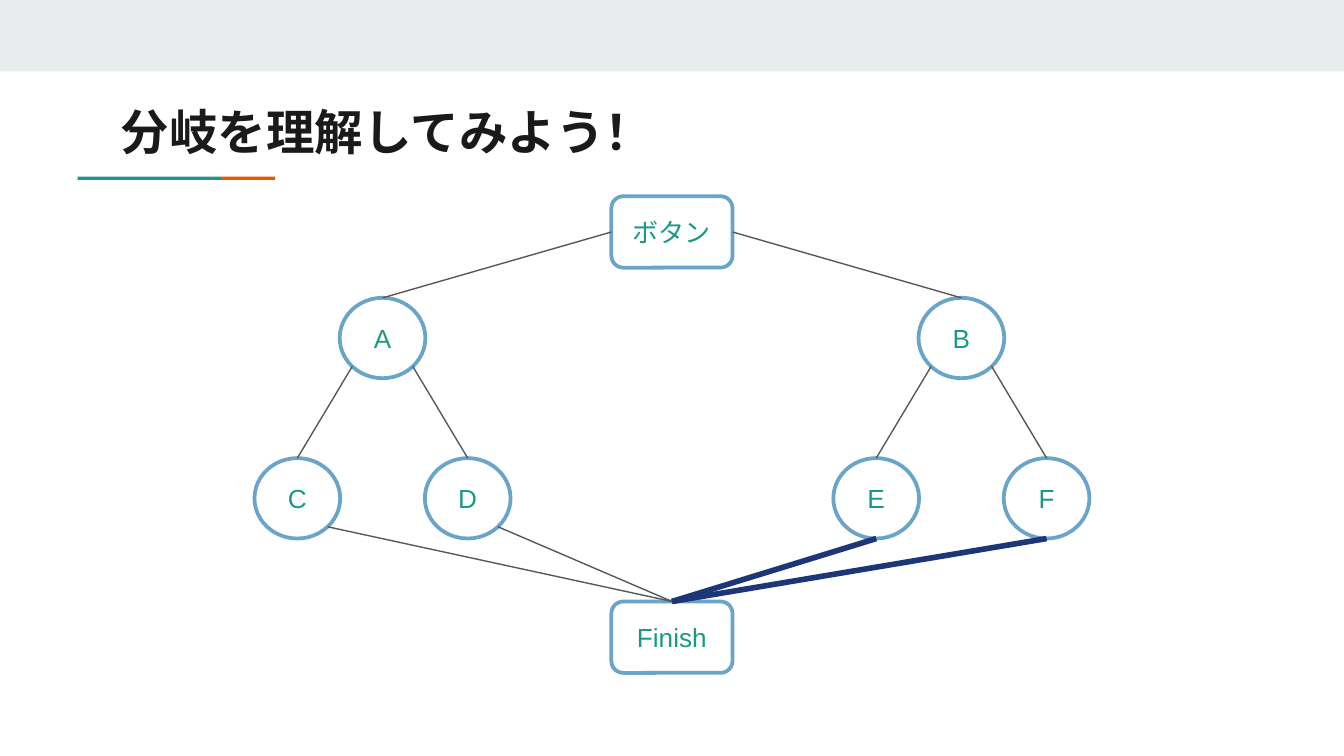
"""Builds a slide with a branching diagram that leads from a button to a finish."""
import dataclasses
import enum
import math

import lxml.etree
import pptx
import pptx.dml.color
import pptx.enum.shapes
import pptx.enum.text
import pptx.oxml.ns
import pptx.shapes.autoshape
import pptx.slide
import pptx.util

Cm = pptx.util.Cm
Pt = pptx.util.Pt
ShapeKind = pptx.enum.shapes.MSO_SHAPE
DIAGONAL = math.sqrt(0.5)


@dataclasses.dataclass(frozen=True)
class Theme:
    """Colours, fonts and sizes of the slide."""
    band: str = "E9EDEE"
    accent: str = "1A9988"
    second_accent: str = "EB5600"
    title: str = "1A1A1A"
    node_fill: str = "FFFFFF"
    node_line: str = "6AA4C8"
    edge: str = "575757"
    strong_edge: str = "1C3678"
    title_font: str = "Manrope"
    label_font: str = "Arial"
    title_size: float = 26
    label_size: float = 14
    node_line_width: float = 2
    edge_width: float = 0.75
    strong_edge_width: float = 3


THEME = Theme()


class Site(enum.Enum):
    """Points on an outline, as shares of the half width and half height."""
    TOP = (0, -1)
    LEFT = (-1, 0)
    RIGHT = (1, 0)
    BOTTOM = (0, 1)
    LOWER_LEFT = (-DIAGONAL, DIAGONAL)
    LOWER_RIGHT = (DIAGONAL, DIAGONAL)


GLUE_INDEX = {Site.TOP: 0, Site.LEFT: 1, Site.RIGHT: 3}


@dataclasses.dataclass(frozen=True)
class Bar:
    """A plain filled rectangle, in centimetres."""
    left: float
    top: float
    width: float
    height: float
    color: str


@dataclasses.dataclass(frozen=True)
class Node:
    """A labelled step of the diagram, in centimetres."""
    label: str
    center: float
    top: float
    kind: ShapeKind = ShapeKind.OVAL
    width: float = 1.62
    height: float = 1.52

    def point(self, site: Site) -> tuple[pptx.util.Length, pptx.util.Length]:
        """Return the place of a site on the slide."""
        across, down = site.value
        return (Cm(self.center + across * self.width / 2),
                Cm(self.top + (1 + down) * self.height / 2))


@dataclasses.dataclass(frozen=True)
class Edge:
    """A line between two nodes."""
    start: str
    start_site: Site
    end: str
    end_site: Site = Site.TOP
    strong: bool = False


PAGE_WIDTH, PAGE_HEIGHT = 25.4, 14.29
MIDDLE = PAGE_WIDTH / 2
BRANCH_OFFSET, LEAF_OFFSET = 5.47, 1.61
BRANCH_TOP, LEAF_TOP = 5.63, 8.66
BOX = {"kind": ShapeKind.ROUNDED_RECTANGLE, "width": 2.29, "height": 1.35}

BARS = (
    Bar(0, 0, PAGE_WIDTH, 1.35, THEME.band),
    Bar(4.18, 3.34, 1.02, 0.06, THEME.second_accent),
    Bar(1.47, 3.34, 2.71, 0.06, THEME.accent),
)
BRANCHES = (("A", -1, "C", "D"), ("B", 1, "E", "F"))
START, FINISH = "ボタン", "Finish"


def plan_nodes() -> list[Node]:
    """Lay out both boxes, the branches and their leaves."""
    nodes = [Node(START, MIDDLE, 3.71, **BOX), Node(FINISH, MIDDLE, 11.37, **BOX)]
    for branch, side, left_leaf, right_leaf in BRANCHES:
        center = MIDDLE + side * BRANCH_OFFSET
        nodes += [Node(branch, center, BRANCH_TOP),
                  Node(left_leaf, center - LEAF_OFFSET, LEAF_TOP),
                  Node(right_leaf, center + LEAF_OFFSET, LEAF_TOP)]
    return nodes


def plan_edges() -> list[Edge]:
    """List the lines from the button through each branch to the finish."""
    edges = []
    for branch, side, left_leaf, right_leaf in BRANCHES:
        strong = side > 0
        exit_site = Site.BOTTOM if strong else Site.LOWER_RIGHT
        edges += [Edge(START, Site.RIGHT if strong else Site.LEFT, branch),
                  Edge(branch, Site.LOWER_LEFT, left_leaf),
                  Edge(branch, Site.LOWER_RIGHT, right_leaf)]
        edges += [Edge(leaf, exit_site, FINISH, strong=strong)
                  for leaf in (left_leaf, right_leaf)]
    return edges


def rgb(color: str) -> pptx.dml.color.RGBColor:
    """Turn a hex string into a colour."""
    return pptx.dml.color.RGBColor.from_string(color)


def apply_format(target: object, values: dict[str, object]) -> None:
    """Set each named attribute on the target."""
    for name, value in values.items():
        setattr(target, name, value)


def format_font(font: object, name: str, size: float, color: str, bold: bool) -> None:
    """Give a font its face, size, weight and colour."""
    apply_format(font, {"name": name, "size": Pt(size), "bold": bold})
    font.color.rgb = rgb(color)


def write_title(slide: pptx.slide.Slide, text: str) -> None:
    """Place and format the title."""
    title = slide.shapes.title
    apply_format(title, {"left": Cm(2.03), "top": Cm(1.8),
                         "width": Cm(18.87), "height": Cm(1.35)})
    frame = title.text_frame
    frame.text = text
    margins = {f"margin_{side}": Cm(0.25) for side in ("left", "top", "right", "bottom")}
    apply_format(frame, margins | {"word_wrap": True,
                                   "auto_size": pptx.enum.text.MSO_AUTO_SIZE.NONE,
                                   "vertical_anchor": pptx.enum.text.MSO_ANCHOR.TOP})
    paragraph = frame.paragraphs[0]
    apply_format(paragraph, {"alignment": pptx.enum.text.PP_ALIGN.LEFT, "line_spacing": 0.9})
    format_font(paragraph.runs[0].font, THEME.title_font, THEME.title_size, THEME.title, True)


def draw_bar(slide: pptx.slide.Slide, bar: Bar) -> None:
    """Draw a bar without an outline."""
    shape = slide.shapes.add_shape(ShapeKind.RECTANGLE, Cm(bar.left), Cm(bar.top),
                                   Cm(bar.width), Cm(bar.height))
    shape.shadow.inherit = False
    shape.fill.solid()
    shape.fill.fore_color.rgb = rgb(bar.color)
    shape.line.fill.background()


def draw_node(slide: pptx.slide.Slide, node: Node) -> pptx.shapes.autoshape.Shape:
    """Draw a node with its centred label."""
    shape = slide.shapes.add_shape(node.kind, Cm(node.center - node.width / 2), Cm(node.top),
                                   Cm(node.width), Cm(node.height))
    shape.shadow.inherit = False
    shape.fill.solid()
    shape.fill.fore_color.rgb = rgb(THEME.node_fill)
    shape.line.color.rgb = rgb(THEME.node_line)
    shape.line.width = Pt(THEME.node_line_width)
    frame = shape.text_frame
    frame.text = node.label
    frame.vertical_anchor = pptx.enum.text.MSO_ANCHOR.MIDDLE
    paragraph = frame.paragraphs[0]
    paragraph.alignment = pptx.enum.text.PP_ALIGN.CENTER
    format_font(paragraph.runs[0].font, THEME.label_font, THEME.label_size, THEME.accent, False)
    return shape


def draw_edge(slide: pptx.slide.Slide, edge: Edge, nodes: dict[str, Node],
              shapes: dict[str, pptx.shapes.autoshape.Shape]) -> None:
    """Draw a line and join it to its nodes where a side's middle is met."""
    line = slide.shapes.add_connector(pptx.enum.shapes.MSO_CONNECTOR.STRAIGHT,
                                      *nodes[edge.start].point(edge.start_site),
                                      *nodes[edge.end].point(edge.end_site))
    if edge.start_site in GLUE_INDEX:
        line.begin_connect(shapes[edge.start], GLUE_INDEX[edge.start_site])
    line.end_connect(shapes[edge.end], GLUE_INDEX[edge.end_site])
    line.line.color.rgb = rgb(THEME.strong_edge if edge.strong else THEME.edge)
    line.line.width = Pt(THEME.strong_edge_width if edge.strong else THEME.edge_width)
    lxml.etree.SubElement(line._element.spPr, pptx.oxml.ns.qn("a:effectLst"))


def main() -> None:
    """Build and save the presentation."""
    presentation = pptx.Presentation()
    apply_format(presentation, {"slide_width": Cm(PAGE_WIDTH), "slide_height": Cm(PAGE_HEIGHT)})
    slide = presentation.slides.add_slide(presentation.slide_layouts[5])
    write_title(slide, "分岐を理解してみよう！")
    for bar in BARS:
        draw_bar(slide, bar)
    nodes = {node.label: node for node in plan_nodes()}
    shapes = {label: draw_node(slide, node) for label, node in nodes.items()}
    for edge in plan_edges():
        draw_edge(slide, edge, nodes, shapes)
    presentation.save("out.pptx")


if __name__ == "__main__":
    main()
